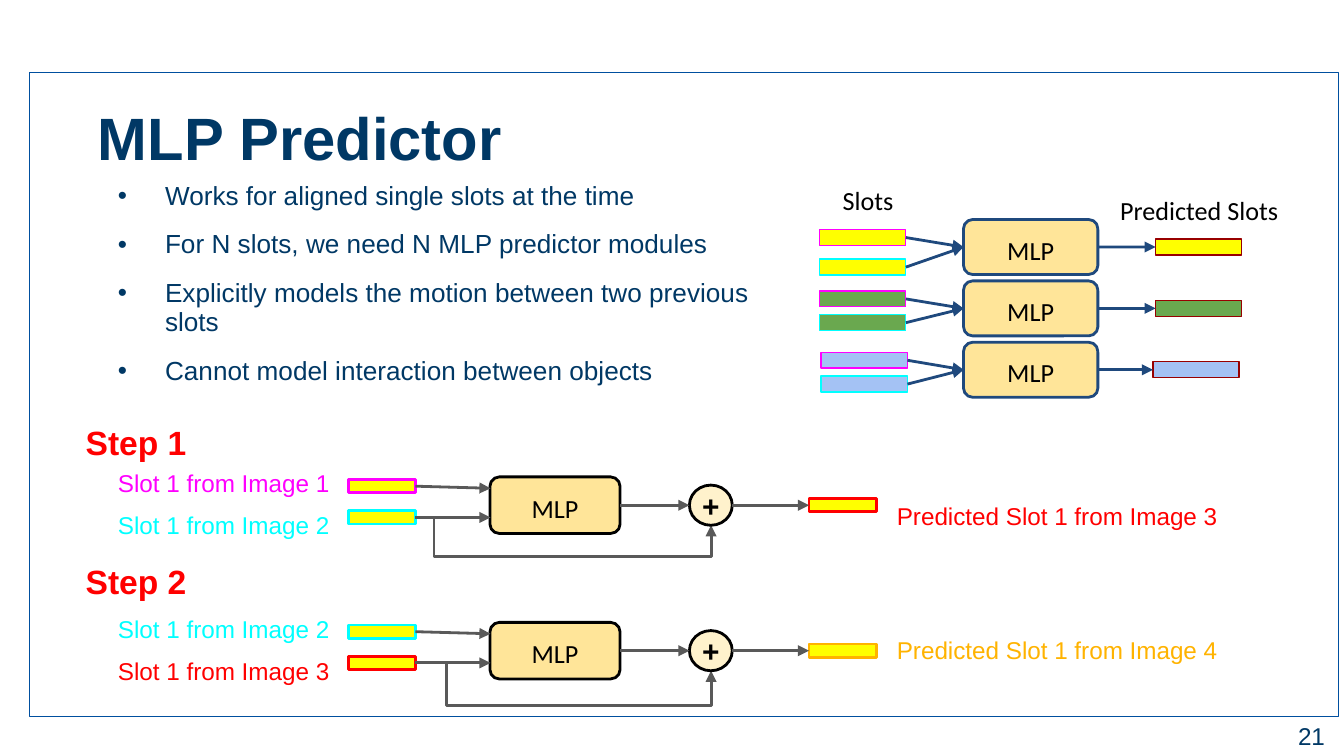
from lxml import etree
from pptx import Presentation
from pptx.dml.color import RGBColor
from pptx.enum.shapes import MSO_CONNECTOR, MSO_SHAPE
from pptx.enum.text import MSO_ANCHOR, PP_ALIGN
from pptx.oxml.ns import qn
from pptx.util import Cm, Pt

RECT, ROUNDED, OVAL = MSO_SHAPE.RECTANGLE, MSO_SHAPE.ROUNDED_RECTANGLE, MSO_SHAPE.OVAL
STRAIGHT, ELBOW = MSO_CONNECTOR.STRAIGHT, MSO_CONNECTOR.ELBOW
LEFT, CENTER, RIGHT = PP_ALIGN.LEFT, PP_ALIGN.CENTER, PP_ALIGN.RIGHT
TOP, MIDDLE = MSO_ANCHOR.TOP, MSO_ANCHOR.MIDDLE
LEFT_SIDE, RIGHT_SIDE = 1, 3

NAVY, BLUE, GRAY, BLACK = "003865", "1F497D", "595959", "000000"
MAGENTA, CYAN, RED, AMBER, MAROON = "FF00FF", "00FFFF", "FF0000", "FFB300", "980000"
YELLOW, GREEN, SKY, SAND, CREAM = "FFFF00", "6AA84F", "A4C2F4", "FFE599", "FFF2CC"


def rgb(value):
    return RGBColor.from_string(value)


class SlideBuilder:
    """Draws styled elements on one slide, with lengths in centimetres."""

    def __init__(self, slide):
        self.slide = slide

    def fill_text(self, frame, text, size, color, font="Arial", bold=False, align=LEFT,
                  insets=(0.25, 0.25, 0.25, 0.25), anchor=TOP, wrap=True):
        frame.text = text
        frame.word_wrap = wrap
        frame.vertical_anchor = anchor
        frame.margin_left, frame.margin_top, frame.margin_right, frame.margin_bottom = map(Cm, insets)
        for paragraph in frame.paragraphs:
            paragraph.alignment = align
            for run in paragraph.runs:
                run.font.name, run.font.size, run.font.bold = font, Pt(size), bold
                run.font.color.rgb = rgb(color)

    def text(self, left, top, width, height, text, size, color, **style):
        box = self.slide.shapes.add_textbox(Cm(left), Cm(top), Cm(width), Cm(height))
        self.fill_text(box.text_frame, text, size, color, **style)
        return box.text_frame

    def bullets(self, left, top, width, height, items):
        frame = self.text(left, top, width, height, "\n".join(items), 14, NAVY,
                          insets=(0.25, 0.13, 0.25, 0.13))
        for index, paragraph in enumerate(frame.paragraphs):
            properties = paragraph._p.get_or_add_pPr()
            properties.set("marL", str(Cm(1.27)))
            properties.set("indent", str(Cm(-0.89)))
            bullet_color = etree.SubElement(properties, qn("a:buClr"))
            etree.SubElement(bullet_color, qn("a:srgbClr"), val=NAVY)
            etree.SubElement(properties, qn("a:buFont"), typeface="Arial")
            etree.SubElement(properties, qn("a:buChar"), char="•")
            paragraph.line_spacing = 0.95
            paragraph.space_before = Pt(10 if index else 0)

    def shape(self, kind, left, middle, width, height, fill, line, weight):
        shape = self.slide.shapes.add_shape(
            kind, Cm(left), Cm(middle - height / 2), Cm(width), Cm(height))
        shape.shadow.inherit = False
        if fill:
            shape.fill.solid()
            shape.fill.fore_color.rgb = rgb(fill)
        else:
            shape.fill.background()
        shape.line.color.rgb = rgb(line)
        shape.line.width = Pt(weight)
        return shape

    def mlp(self, left, middle, width, height, line):
        block = self.shape(ROUNDED, left, middle, width, height, SAND, line, 1.5)
        self.fill_text(block.text_frame, "MLP", 14, BLACK, font="Calibri", align=CENTER,
                       insets=(0, 0.1, 0, 0), anchor=MIDDLE)
        return block

    def arrow(self, color, start=(0, 0), end=(0, 0), source=None, target=None, kind=STRAIGHT):
        arrow = self.slide.shapes.add_connector(kind, *map(Cm, start + end))
        if source:
            arrow.begin_connect(source, RIGHT_SIDE)
        if target:
            arrow.end_connect(target, LEFT_SIDE)
        arrow.line.color.rgb = rgb(color)
        arrow.line.width = Pt(1.5)
        properties = arrow._element.spPr
        etree.SubElement(properties.find(qn("a:ln")), qn("a:tailEnd"), type="triangle")
        etree.SubElement(properties, qn("a:effectLst"))
        return arrow

    def skip_arrow(self, color, start, end, turn_x, turn_y):
        arrow = self.arrow(color, start, end, kind=ELBOW)
        geometry = arrow._element.spPr.find(qn("a:prstGeom"))
        geometry.set("prst", "bentConnector4")
        guides = geometry.find(qn("a:avLst"))
        ratios = ((turn_x - start[0]) / (end[0] - start[0]),
                  (turn_y - start[1]) / (end[1] - start[1]))
        for number, ratio in enumerate(ratios, 1):
            etree.SubElement(guides, qn("a:gd"), name=f"adj{number}",
                             fmla=f"val {round(ratio * 100000)}")

    def predictor_row(self, middle, slot_left, slot_offsets, predicted_left, fill):
        block = self.mlp(18.21, middle, 2.54, 1.04, BLUE)
        for offset, outline in zip(slot_offsets, (MAGENTA, CYAN)):
            slot = self.shape(RECT, slot_left, middle + offset, 1.63, 0.3, fill, outline, 0.75)
            self.arrow(BLUE, source=slot, target=block)
        predicted = self.shape(RECT, predicted_left, middle, 1.63, 0.3, fill, MAROON, 0.75)
        self.arrow(BLUE, source=block, target=predicted)

    def step(self, title, title_top, axis, inputs, output, output_top, turn_x, turn_y):
        self.text(1.37, title_top, 5.46, 1.27, title, 18, RED, bold=True)
        block = self.mlp(9.26, axis, 2.46, 1.07, BLACK)
        offsets = ((-0.94, -0.36, -0.32), (-0.15, 0.23, 0.23))
        for (label, color), (label_top, slot_middle, entry) in zip(inputs, offsets):
            self.text(1.93, axis + label_top, 4.34, 0.84, label, 13, color, align=CENTER,
                      insets=(0.25, 0.25, 0, 0), wrap=False)
            slot = self.shape(RECT, 6.58, axis + slot_middle, 1.27, 0.25, YELLOW, color, 1.5)
            self.arrow(GRAY, end=(9.27, axis + entry), source=slot)
        self.skip_arrow(GRAY, (7.85, axis + 0.23), (13.44, axis + 0.38), turn_x, turn_y)
        adder = self.shape(OVAL, 13.03, axis, 0.81, 0.76, CREAM, BLACK, 1.5)
        self.fill_text(adder.text_frame, "+", 16, BLACK, bold=True, align=CENTER,
                       insets=(0, 0, 0, 0), anchor=MIDDLE, wrap=False)
        label, color = output
        predicted = self.shape(RECT, 15.29, axis, 1.27, 0.25, YELLOW, color, 1.5)
        self.arrow(GRAY, end=(13.03, axis), source=block)
        self.arrow(GRAY, start=(13.84, axis), target=predicted)
        self.text(16.69, output_top, 6.32, 0.81, label, 13, color, align=CENTER,
                  insets=(0.25, 0.25, 0, 0), wrap=False)


def main():
    deck = Presentation()
    deck.slide_width, deck.slide_height = Cm(25.4), Cm(14.29)
    page = SlideBuilder(deck.slides.add_slide(deck.slide_layouts[6]))

    page.shape(RECT, 0.56, 7.46, 24.74, 12.17, None, "004F9F", 0.75)
    title = page.text(1.6, 1.45, 23.11, 1.7, "MLP Predictor", 32, NAVY, bold=True,
                      insets=(0.25, 0.25, 0.25, 0.13))
    title.paragraphs[0].line_spacing = 1.15
    page.bullets(1.6, 3.3, 13.89, 4.45, [
        "Works for aligned single slots at the time",
        "For N slots, we need N MLP predictor modules",
        "Explicitly models the motion between two previous slots",
        "Cannot model interaction between objects",
    ])

    page.text(15.57, 3.23, 1.47, 1.02, "Slots", 14, BLACK, font="Calibri", align=CENTER,
              insets=(0.25, 0.25, 0.05, 0.25))
    page.text(20.52, 3.43, 4.29, 1.02, "Predicted Slots", 14, BLACK, font="Calibri", align=CENTER)
    rows = [
        (15.49, (-0.18, 0.38), 21.84, YELLOW),
        (15.49, (-0.18, 0.27), 21.84, GREEN),
        (15.52, (-0.18, 0.27), 21.79, SKY),
    ]
    for index, row in enumerate(rows):
        page.predictor_row(4.67 + 1.16 * index, *row)

    page.step("Step 1", 7.72, 9.55,
              [("Slot 1 from Image 1", MAGENTA), ("Slot 1 from Image 2", CYAN)],
              ("Predicted Slot 1 from Image 3", RED), 9.22, 8.2, 10.52)
    page.step("Step 2", 10.36, 12.3,
              [("Slot 1 from Image 2", CYAN), ("Slot 1 from Image 3", RED)],
              ("Predicted Slot 1 from Image 4", AMBER), 11.76, 8.44, 13.34)
    page.text(23.77, 13.39, 1.52, 1.09, "21", 13, NAVY, align=RIGHT)

    deck.save("out.pptx")


if __name__ == "__main__":
    main()
